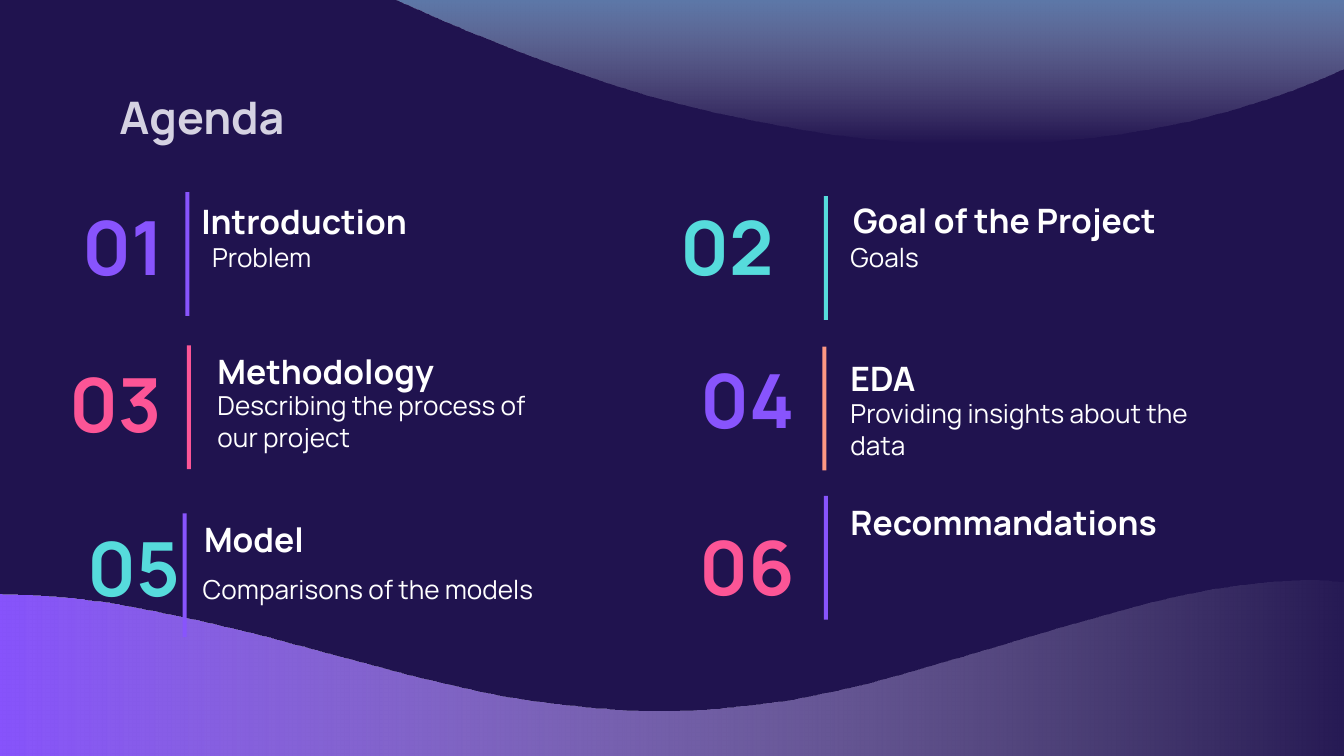
from lxml import etree
from pptx import Presentation
from pptx import util as u
from pptx.dml.color import RGBColor
from pptx.enum import shapes, text
from pptx.oxml.ns import qn

W = 10
H = W * 9 / 16
VIOLET, PINK, TEAL, PEACH, WHITE = "8854FD", "FC5596", "56DBDC", "FE9883", "FFFFFF"

NUM = dict(size=40, bold=True, align="RIGHT", anchor="BOTTOM")
HEAD = dict(size=18, bold=True, line=1.15, after=12)
BODY = dict(size=14, after=12)
TITLE = dict(size=24, bold=True, anchor="MIDDLE")

# Agenda items: bar corner, bar and number colours, words,
# then the offsets of number, heading and detail from the bar
ITEMS = [
    (1.38, 1.43, VIOLET, VIOLET, "01", "Introduction", "Problem",
     (-1.07, -.09), (.02, -.08), (.10, .27)),
    (6.13, 1.46, TEAL, TEAL, "02", "Goal of the Project", "Goals ",
     (-1.28, -.12), (.12, -.12), (.10, .24)),
    (1.39, 2.57, PINK, PINK, "03", "Methodology ", "Describing the process of our project",
     (-1.10, -.06), (.13, -.10), (.13, .23)),
    (6.12, 2.58, PEACH, VIOLET, "04", "EDA", "Providing insights about the data",
     (-1.12, -.10), (.11, -.06), (.11, .28)),
    (1.36, 3.82, VIOLET, TEAL, "05", "Model", "Comparisons of the models",
     (-.93, -.09), (.06, -.10), (.05, .35)),
    (6.13, 3.69, VIOLET, PINK, "06", "Recommandations ", "",
     (-1.13, .03), (.10, -.10), (0, 0)),
]

# Wave crests, left to right
LOW = [(-.04, 4.42), (.42, 4.44), (.95, 4.51), (1.79, 4.69), (2.55, 4.89), (3.24, 5.07),
       (3.93, 5.21), (4.86, 5.29), (5.66, 5.24), (6.32, 5.12), (7.05, 4.92), (8, 4.64),
       (8.67, 4.46), (9.2, 4.36), (9.74, 4.32), (10.3, 4.36)]
HIGH = [(.01, -.57), (.56, -.63), (1.18, -.58), (1.92, -.4), (2.67, -.12), (3.41, .2),
        (4.13, .48), (4.83, .71), (5.54, .88), (6.38, 1.02), (7.23, 1.07), (8.04, 1.03),
        (8.84, .9), (9.61, .67), (10.35, .35)]


def paint(fill, color):
    fill.solid()
    fill.fore_color.rgb = RGBColor.from_string(color)


def curve(knots, steps=8):
    """Smooth line through the knots (cubic Hermite)."""
    last = len(knots) - 1
    slope = []
    for i in range(last + 1):
        a, b = knots[max(i - 1, 0)], knots[min(i + 1, last)]
        slope.append((b[1] - a[1]) / (b[0] - a[0]))
    pts = [knots[0]]
    for i in range(last):
        (x, y), (x2, y2) = knots[i:i + 2]
        w = x2 - x
        for n in range(1, steps + 1):
            t = n / steps
            pts.append((x + w * t,
                        y * (2*t**3 - 3*t**2 + 1) + y2 * (3*t**2 - 2*t**3)
                        + w * (slope[i] * (t**3 - 2*t**2 + t)
                               + slope[i + 1] * (t**3 - t**2))))
    return pts


def wave(page, knots, base, color, angle):
    """Area between a crest and a flat base, fading to clear."""
    pts = curve(knots) + [(knots[-1][0], base), (knots[0][0], base)]
    pts = [(x * 1000, y * 1000) for x, y in pts]
    pen = page.shapes.build_freeform(*pts[0], scale=u.Inches(1) / 1000)
    pen.add_line_segments(pts[1:], close=True)
    shape = pen.convert_to_shape()
    shape.shadow.inherit = False
    shape.line.fill.background()
    shape.fill.background()
    props = shape._element.spPr
    grad = etree.Element(qn("a:gradFill"), rotWithShape="1")
    stops = etree.SubElement(grad, qn("a:gsLst"))
    for pos, tone, alpha in ((0, color, 100000), (100000, WHITE, 0)):
        stop = etree.SubElement(stops, qn("a:gs"), pos=str(pos))
        tint = etree.SubElement(stop, qn("a:srgbClr"), val=tone)
        etree.SubElement(tint, qn("a:alpha"), val=str(alpha))
    etree.SubElement(grad, qn("a:lin"), ang=str(angle * 60000), scaled="0")
    props.replace(props.find(qn("a:noFill")), grad)


def label(page, box, words, color, form):
    frame = page.shapes.add_textbox(*map(u.Inches, box)).text_frame
    frame.word_wrap = True
    frame.vertical_anchor = text.MSO_ANCHOR[form.get("anchor", "TOP")]
    for side in ("left", "top", "right", "bottom"):
        setattr(frame, "margin_" + side, u.Inches(.1))
    par = frame.paragraphs[0]
    par.alignment = text.PP_ALIGN[form.get("align", "LEFT")]
    par.line_spacing = form.get("line", 1.0)
    par.space_after = u.Pt(form.get("after", 0))
    run = par.add_run()
    run.text = words
    look = dict(name="Manrope", size=u.Pt(form["size"]), bold=form.get("bold", False))
    for key, val in look.items():
        setattr(run.font, key, val)
    run.font.color.rgb = RGBColor.from_string(color)


def item(page, x, y, tone, hue, num, head, body, *offs):
    """One agenda entry, placed from the corner of its bar."""
    bar = page.shapes.add_shape(shapes.MSO_SHAPE.RECTANGLE,
                                *map(u.Inches, (x, y, .03, .92)))
    bar.shadow.inherit = False
    bar.line.fill.background()
    paint(bar.fill, tone)
    parts = ((num, hue, NUM, 1.01, .92), (head, WHITE, HEAD, 2.76, .37),
             (body, WHITE, BODY, 2.76, .67))
    for (words, color, form, w, h), (dx, dy) in zip(parts, offs):
        if words:
            label(page, (x + dx, y + dy, w, h), words, color, form)


deck = Presentation()
deck.slide_width, deck.slide_height = u.Inches(W), u.Inches(H)
page = deck.slides.add_slide(deck.slide_layouts[6])

# Backdrop
paint(page.background.fill, "20134F")
wave(page, LOW, 6.19, VIOLET, 0)
wave(page, HIGH, -.8, "369ADE", 90)

# Title and entries
label(page, (.79, .59, 8.42, .55), "Agenda", "D5D2E2", TITLE)
for entry in ITEMS:
    item(page, *entry)

deck.save("out.pptx")
